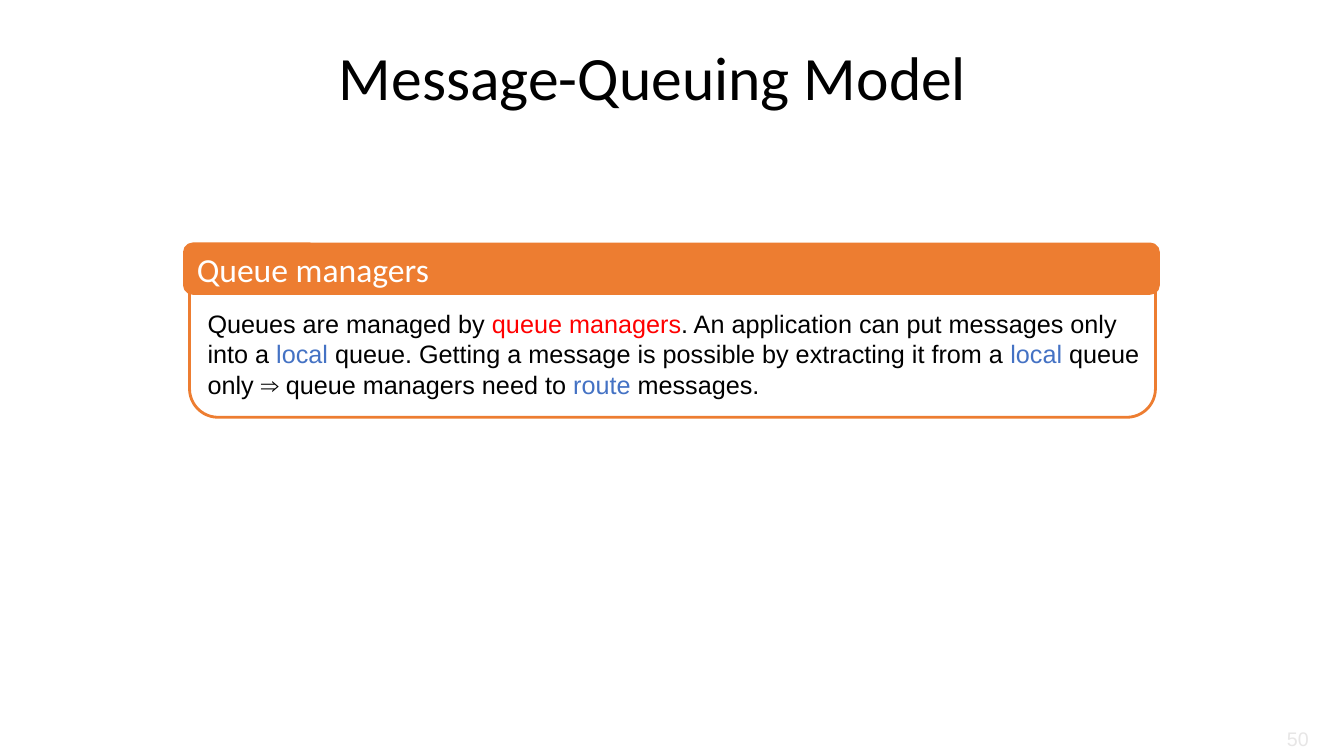
"""Builds the slide on queue managers in the message-queuing model."""
from dataclasses import dataclass

from pptx import Presentation
from pptx.dml.color import RGBColor
from pptx.enum.shapes import MSO_SHAPE
from pptx.enum.text import MSO_ANCHOR, PP_ALIGN
from pptx.util import Inches, Pt

ROUNDED = MSO_SHAPE.ROUNDED_RECTANGLE
TOP, MIDDLE = MSO_ANCHOR.TOP, MSO_ANCHOR.MIDDLE
LEFT, CENTER, RIGHT = PP_ALIGN.LEFT, PP_ALIGN.CENTER, PP_ALIGN.RIGHT
COLORS = {
    "black": "000000",
    "white": "FFFFFF",
    "orange": "ED7D31",
    "red": "FF0000",
    "blue": "4472C4",
    "gray": "E7E6E6",
}


@dataclass(frozen=True)
class Area:
    left: float
    top: float
    width: float
    height: float


@dataclass(frozen=True)
class Wording:
    phrases: tuple[tuple[str, str], ...]
    size: int
    font: str
    align: PP_ALIGN = LEFT
    anchor: MSO_ANCHOR = TOP
    line_spacing: float = 1.0


BODY_AREA = Area(1.88, 2.44, 9.58, 1.7)
HEADING_AREA = Area(1.83, 2.42, 9.66, 0.49)
HEADING = Wording((("Queue managers", "white"),), 24, "Calibri", anchor=MIDDLE)
LABELS = (
    (Area(0.92, 0.22, 11.25, 1.15),
     Wording((("Message-Queuing Model ", "black"),), 44, "Calibri", CENTER, MIDDLE, 0.9)),
    (Area(1.96, 3.01, 9.58, 1.01), Wording((
        ("Queues are managed by ", "black"),
        ("queue managers", "red"),
        (". An application can put messages only into a ", "black"),
        ("local", "blue"),
        (" queue. Getting a message is possible by extracting it from a ", "black"),
        ("local", "blue"),
        (" queue only ⇒ queue managers need to ", "black"),
        ("route", "blue"),
        (" messages.", "black"),
    ), 18, "Arial")),
    (Area(12.08, 7.16, 1.0, 0.34),
     Wording((("50", "gray"),), 14, "Arial", RIGHT, MIDDLE)),
)


def color(name: str) -> RGBColor:
    return RGBColor.from_string(COLORS[name])


def place(area: Area) -> tuple[Inches, ...]:
    return tuple(Inches(n) for n in (area.left, area.top, area.width, area.height))


def write(frame, wording: Wording) -> None:
    frame.word_wrap = True
    frame.vertical_anchor = wording.anchor
    paragraph = frame.paragraphs[0]
    paragraph.alignment = wording.align
    paragraph.line_spacing = wording.line_spacing
    for words, tint in wording.phrases:
        run = paragraph.add_run()
        run.text = words
        run.font.name = wording.font
        run.font.size = Pt(wording.size)
        run.font.color.rgb = color(tint)


def draw_panel(slide, area: Area, fill: str):
    panel = slide.shapes.add_shape(ROUNDED, *place(area))
    panel.shadow.inherit = False
    panel.fill.solid()
    panel.fill.fore_color.rgb = color(fill)
    panel.line.color.rgb = color("orange")
    panel.line.width = Pt(2)
    return panel


def main() -> None:
    deck = Presentation()
    deck.slide_width, deck.slide_height = Inches(13.33), Inches(7.5)
    slide = deck.slides.add_slide(deck.slide_layouts[6])
    draw_panel(slide, BODY_AREA, "white")
    heading_panel = draw_panel(slide, HEADING_AREA, "orange")
    write(heading_panel.text_frame, HEADING)
    for area, wording in LABELS:
        write(slide.shapes.add_textbox(*place(area)).text_frame, wording)
    deck.save("out.pptx")


if __name__ == "__main__":
    main()
